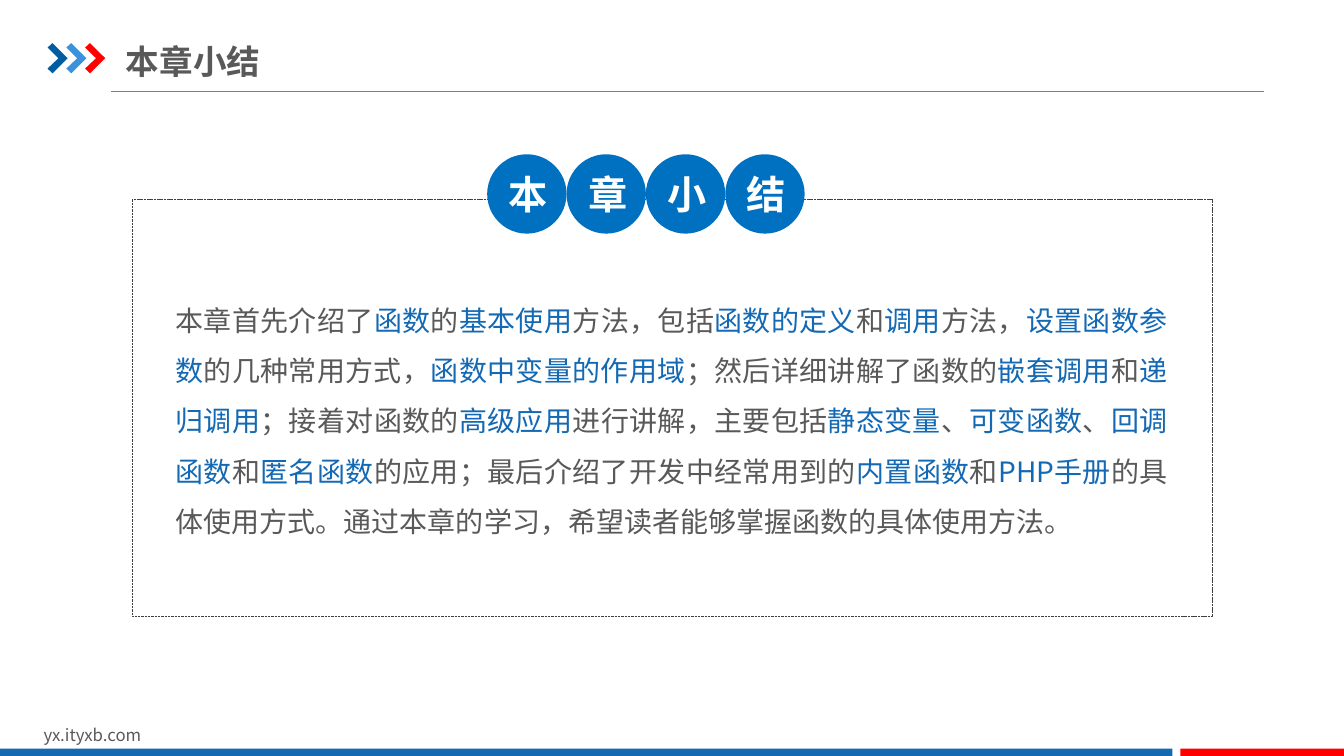
from pptx import Presentation, util as u
from pptx.dml.color import RGBColor
from pptx.enum import dml, shapes, text
from pptx.oxml import parse_xml
from pptx.oxml.ns import nsdecls, qn
from lxml import etree

Pt = u.Pt
FONT = "Noto Sans CJK SC"
GRAY, BLUE, RED, WHITE = "595959", "1369B3", "FF0000", "FFFFFF"
TITLE = "本章小结"
SITE = "yx.ityxb.com"
# Every second part, between bars, is a key term
BODY = (
    "本章首先介绍了|函数|的|基本使用|方法，包括|函数的定义|和|调用|方法，|设置函数参数|"
    "的几种常用方式，|函数中变量的作用域|；然后详细讲解了函数的|嵌套调用|和|递归调用|"
    "；接着对函数的|高级应用|进行讲解，主要包括|静态变量|、|可变函数|、|回调函数|和|"
    "匿名函数|的应用；最后介绍了开发中经常用到的|内置函数|和|PHP手册|"
    "的具体使用方式。通过本章的学习，希望读者能够掌握函数的具体使用方法。"
)
ARROWS = ["005DA2", "3992DB", RED]
CHEVRON = [(0, 3.2), (3.5, 0), (14.4, 10.8), (3.5, 21.6), (0, 18.2), (7.8, 10.8)]
BARS = [(0, 837.4, "1369B2"), (843.1, 117.2, RED)]
BALL = 56.7


def color(code):
    return RGBColor.from_string(code)


def style(run, size, code, bold=False):
    font = run.font
    font.size, font.bold, font.name = Pt(size), bold, FONT
    font.color.rgb = color(code)
    east = etree.SubElement(run._r.get_or_add_rPr(), qn("a:ea"))
    east.set("typeface", FONT)


def place(shape, x, y, w, h):
    shape.left, shape.top, shape.width, shape.height = map(Pt, (x, y, w, h))


def inset(frame, side, edge):
    frame.margin_left = frame.margin_right = Pt(side)
    frame.margin_top = frame.margin_bottom = Pt(edge)


def paint(shape, code):
    shape.shadow.inherit = False
    shape.fill.solid()
    shape.fill.fore_color.rgb = color(code)
    shape.line.fill.background()


def add_box(slide, kind, x, y, w, h):
    return slide.shapes.add_shape(kind, *map(Pt, (x, y, w, h)))


def add_text(slide, x, y, w, h):
    frame = slide.shapes.add_textbox(*map(Pt, (x, y, w, h))).text_frame
    frame.word_wrap = True
    return frame


def add_title(slide):
    place(slide.shapes.title, 90, 26, 378.7, 34.6)
    frame = slide.shapes.title.text_frame
    frame.text = TITLE
    frame.auto_size = text.MSO_AUTO_SIZE.NONE
    frame.vertical_anchor = text.MSO_ANCHOR.MIDDLE
    inset(frame, 0, 5)
    line = frame.paragraphs[0]
    line.alignment = text.PP_ALIGN.LEFT
    style(line.runs[0], 24, GRAY, True)


def add_frame(slide):
    """Draw the header rule, the chevrons, the footer bars and the site."""
    rule = slide.shapes.add_connector(
        shapes.MSO_CONNECTOR.STRAIGHT, Pt(79.2), Pt(65.4), Pt(903.2), Pt(65.4))
    rule.line.color.rgb = color("808080")
    rule.line.width = Pt(0.75)
    rule._element.spPr.append(parse_xml(f"<a:effectLst {nsdecls('a')}/>"))

    for i, code in enumerate(ARROWS):
        dots = [(Pt(34 + 13.4 * i + x), Pt(30.8 + y)) for x, y in CHEVRON]
        path = slide.shapes.build_freeform(*dots[0])
        path.add_line_segments(dots[1:], close=True)
        paint(path.convert_to_shape(), code)

    frame = add_text(slide, 24, 514, 229, 21.8)
    frame.text = SITE
    style(frame.paragraphs[0].runs[0], 12, GRAY)
    for x, w, code in BARS:
        paint(add_box(slide, shapes.MSO_SHAPE.RECTANGLE, x, 534.8, w, 6.2), code)


def add_body(slide):
    box = add_box(slide, shapes.MSO_SHAPE.ROUNDED_RECTANGLE, 94.5, 142.4, 771.4, 297.6)
    box.adjustments[0] = 0
    box.shadow.inherit = False
    box.fill.background()
    box.line.color.rgb = color("404040")
    box.line.width = Pt(0.25)
    box.line.dash_style = dml.MSO_LINE.SQUARE_DOT

    frame = add_text(slide, 125.4, 204.5, 708.6, 181.4)
    inset(frame, 0, 0)
    para = frame.paragraphs[0]
    para.alignment = text.PP_ALIGN.JUSTIFY
    para.line_spacing = 1.5
    for i, part in enumerate(BODY.split("|")):
        run = para.add_run()
        run.text = part
        style(run, 20, BLUE if i % 2 else GRAY)


def add_balls(slide):
    for i, char in enumerate(TITLE):
        ball = add_box(slide, shapes.MSO_SHAPE.OVAL, 348 + BALL * i, 110.2, BALL, BALL)
        paint(ball, "0070C0")
        frame = ball.text_frame
        frame.text = char
        frame.vertical_anchor = text.MSO_ANCHOR.MIDDLE
        frame.paragraphs[0].alignment = text.PP_ALIGN.CENTER
        style(frame.paragraphs[0].runs[0], 28, WHITE, True)


def main():
    deck = Presentation()
    deck.slide_width, deck.slide_height = Pt(960), Pt(540)
    slide = deck.slides.add_slide(deck.slide_layouts[5])
    add_title(slide)
    add_frame(slide)
    add_body(slide)
    add_balls(slide)
    deck.save("out.pptx")


if __name__ == "__main__":
    main()
